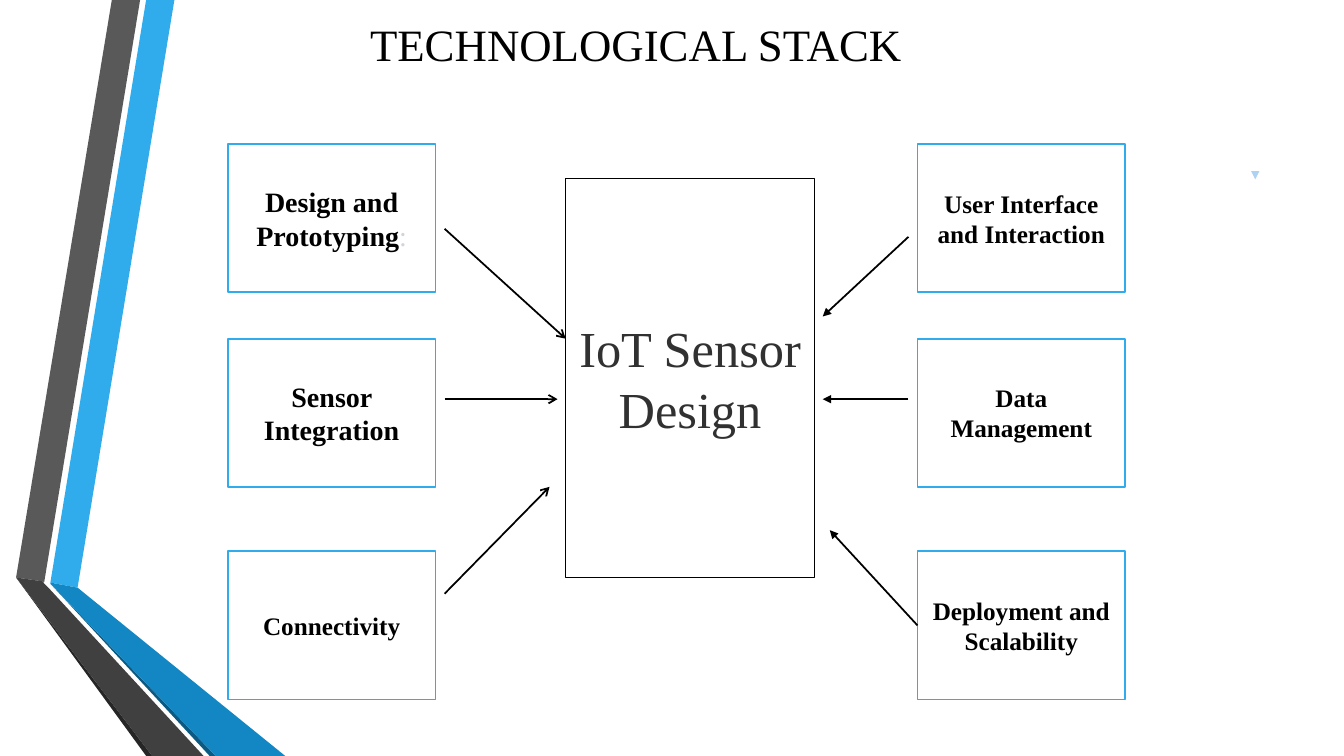
from dataclasses import dataclass

from lxml import etree
from pptx import Presentation
from pptx.dml.color import RGBColor
from pptx.enum import shapes, text
from pptx.oxml import ns
from pptx.util import Inches, Pt

FONT = "Times New Roman"
COLORS = {
    "sky": "30ACEC", "blue": "1287C3", "navy": "0C5A82", "pale": "AED2F4",
    "gray": "595959", "dark": "404040", "coal": "262626", "ink": "313131",
    "mist": "D1D5DB", "black": "000000", "white": "FFFFFF",
}
LEFT, RIGHT = 2.26, 9.1
ROWS = 1.43, 3.36, 5.47
WIDE, HIGH = 2.06, 1.47


@dataclass
class Band:
    color: str
    points: list[tuple[float, float]]


@dataclass
class Box:
    label: str
    x: float
    y: float
    size: float
    w: float = WIDE
    h: float = HIGH
    edge: str = "sky"
    color: str = "black"
    bold: bool = True


@dataclass
class Arrow:
    start: tuple[float, float]
    end: tuple[float, float]
    head: str
    color: str = "black"
    width: float = 1.25


BANDS = [
    Band("sky", [(0.5, 5.78), (0.77, 5.83), (1.73, 0), (1.45, 0)]),
    Band("gray", [(1.39, 0), (1.11, 0), (0.16, 5.73), (0.44, 5.77)]),
    Band("coal", [(0.16, 5.73), (1.45, 7.5), (1.51, 7.5)]),
    Band("navy", [(0.5, 5.79), (2.08, 7.5), (2.14, 7.5)]),
    Band("blue", [(0.5, 5.79), (2.14, 7.5), (2.83, 7.5), (0.77, 5.83), (0.5, 5.78)]),
    Band("dark", [(2.02, 7.5), (0.48, 5.83), (0.43, 5.78), (0.44, 5.77),
                  (0.16, 5.73), (1.51, 7.5)]),
]
BOXES = [
    Box("IoT Sensor Design", 5.61, 1.77, 36, 2.47, 3.96, "black", "ink", False),
    Box("Design and Prototyping", LEFT, ROWS[0], 20),
    Box("Sensor Integration", LEFT, ROWS[1], 20),
    Box("Connectivity", LEFT, ROWS[2], 18),
    Box("User Interface and Interaction", RIGHT, ROWS[0], 18),
    Box("Data Management", RIGHT, ROWS[1], 18),
    Box("Deployment and Scalability", RIGHT, ROWS[2], 18),
]
ARROWS = [
    Arrow((4.41, 2.27), (5.61, 3.36), "arrow"),
    Arrow((4.41, 3.96), (5.53, 3.96), "arrow"),
    Arrow((4.41, 5.89), (5.45, 4.83), "arrow"),
    Arrow((9.01, 2.35), (8.16, 3.14), "triangle"),
    Arrow((9.01, 3.96), (8.16, 3.96), "triangle"),
    Arrow((12.45, 1.77), (12.45, 1.78), "triangle", "pale", 0.75),
    Arrow((RIGHT, 6.2), (8.23, 5.26), "triangle"),
]


def tint(name: str) -> RGBColor:
    return RGBColor.from_string(COLORS[name])


def fill(shape, name: str) -> None:
    shape.shadow.inherit = False
    shape.fill.solid()
    shape.fill.fore_color.rgb = tint(name)


def style(font, size: float, name: str, bold: bool) -> None:
    font.name = FONT
    font.size = Pt(size)
    font.bold = bold
    font.color.rgb = tint(name)


def draw_band(slide, band: Band) -> None:
    points = [(Inches(x), Inches(y)) for x, y in band.points]
    pen = slide.shapes.build_freeform(*points[0])
    pen.add_line_segments(points[1:], close=True)
    shape = pen.convert_to_shape()
    fill(shape, band.color)
    shape.line.fill.background()


def draw_box(slide, box: Box):
    shape = slide.shapes.add_shape(
        shapes.MSO_SHAPE.RECTANGLE,
        Inches(box.x), Inches(box.y), Inches(box.w), Inches(box.h))
    fill(shape, "white")
    shape.line.color.rgb = tint(box.edge)
    shape.line.width = Pt(1.25)
    frame = shape.text_frame
    frame.word_wrap = True
    frame.vertical_anchor = text.MSO_ANCHOR.MIDDLE
    para = frame.paragraphs[0]
    para.alignment = text.PP_ALIGN.CENTER
    style(para.font, box.size, box.color, box.bold)
    para.add_run().text = box.label
    return shape


def draw_arrow(slide, arrow: Arrow):
    line = slide.shapes.add_connector(
        shapes.MSO_CONNECTOR.STRAIGHT,
        *(Inches(v) for v in arrow.start + arrow.end))
    line.line.color.rgb = tint(arrow.color)
    line.line.width = Pt(arrow.width)
    props = line.element.spPr
    tip = etree.SubElement(props.find(ns.qn("a:ln")), ns.qn("a:tailEnd"))
    tip.set("type", arrow.head)
    etree.SubElement(props, ns.qn("a:effectLst"))
    return line


def set_title(slide) -> None:
    title = slide.shapes.title
    title.left, title.top = Inches(3.57), Inches(0.12)
    title.width, title.height = Inches(8.2), Inches(0.64)
    frame = title.text_frame
    frame.text = "TECHNOLOGICAL STACK"
    frame.word_wrap = True
    frame.auto_size = text.MSO_AUTO_SIZE.NONE
    frame.vertical_anchor = text.MSO_ANCHOR.TOP
    para = frame.paragraphs[0]
    para.alignment = text.PP_ALIGN.LEFT
    style(para.font, 32, "black", False)


def main() -> None:
    deck = Presentation()
    deck.slide_width, deck.slide_height = Inches(13.33), Inches(7.5)
    slide = deck.slides.add_slide(deck.slide_layouts[5])
    for band in BANDS:
        draw_band(slide, band)
    set_title(slide)
    cards = {box.label: draw_box(slide, box) for box in BOXES}
    colon = cards["Design and Prototyping"].text_frame.paragraphs[0].add_run()
    colon.text = ":"
    colon.font.bold = False
    colon.font.color.rgb = tint("mist")
    lines = [draw_arrow(slide, arrow) for arrow in ARROWS]
    lines[-1].begin_connect(cards["Deployment and Scalability"], 1)
    deck.save("out.pptx")


if __name__ == "__main__":
    main()
